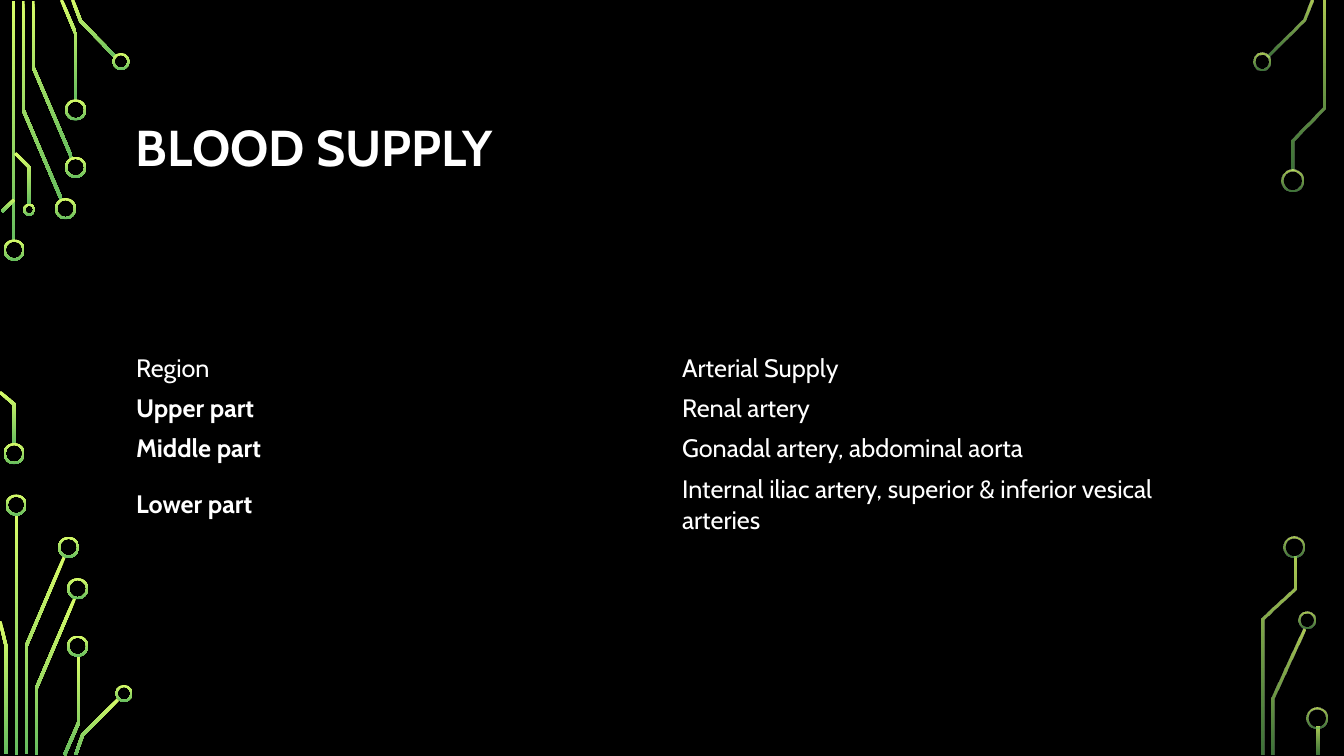
"""Build the blood supply slide with its circuit-style border."""
import math

import pptx
import pptx.dml.color
import pptx.enum.shapes
import pptx.enum.text
import pptx.oxml
import pptx.oxml.ns
import pptx.util

Inches = pptx.util.Inches
RGBColor = pptx.dml.color.RGBColor
Shape = pptx.enum.shapes.MSO_SHAPE
Anchor = pptx.enum.text.MSO_ANCHOR

BLACK = RGBColor(0x00, 0x00, 0x00)
WHITE = RGBColor(0xFF, 0xFF, 0xFF)
LIME = RGBColor(0xD8, 0xFC, 0x68)
GREEN = RGBColor(0x66, 0xBD, 0x5F)
FONT = "Cabin"
WIDTH = 0.03
RIM = 0.02
SOLID = (100, 100)
FADED = (80, 60)

LEFT = {
    "stems": [(0.12, 0.01, 2.39), (0.15, 5.1, 2.39)],
    "rings": [
        (0.14, 2.48, 0.21), (0.14, 4.5, 0.21), (0.65, 2.07, 0.21),
        (0.75, 1.66, 0.21), (0.75, 1.09, 0.21), (1.2, 0.61, 0.17),
        (0.29, 2.08, 0.12), (0.16, 5.01, 0.21), (0.68, 5.43, 0.21),
        (0.77, 5.84, 0.21), (0.77, 6.41, 0.21), (1.23, 6.88, 0.17),
    ],
    "traces": [
        [(0.61, 1.98), (0.23, 1.09), (0.23, 0.01)],
        [(0.71, 1.56), (0.33, 0.67), (0.33, 0.01)],
        [(0.75, 1), (0.75, 0.33), (0.61, 0)],
        [(1.15, 0.57), (0.8, 0.21), (0.72, 0)],
        [(0.02, 2.1), (0.14, 1.98)],
        [(0.14, 4.41), (0.14, 4.01), (0, 3.89)],
        [(0.29, 2.03), (0.29, 1.66), (0.15, 1.52)],
        [(0.26, 7.48), (0.26, 6.41), (0.64, 5.52)],
        [(0.06, 7.48), (0.06, 6.41), (0, 6.16)],
        [(0.36, 7.49), (0.36, 6.83), (0.74, 5.94)],
        [(0.64, 7.49), (0.78, 7.17), (0.78, 6.5)],
        [(0.75, 7.49), (0.82, 7.29), (1.18, 6.93)],
    ],
}
RIGHT = {
    "stems": [(13.06, 7.21, 0.28)],
    "rings": [
        (12.52, 0.61, 0.17), (12.82, 1.79, 0.21), (12.96, 6.15, 0.17),
        (12.83, 5.43, 0.21), (13.06, 7.12, 0.21),
    ],
    "traces": [
        [(12.57, 0.56), (12.93, 0.2), (13.01, 0)],
        [(12.63, 7.49), (12.63, 6.93), (12.93, 6.24)],
        [(12.82, 1.69), (12.82, 1.39), (13.13, 1.07), (13.13, 0.01)],
        [(12.53, 7.49), (12.53, 6.14), (12.84, 5.84), (12.84, 5.52)],
    ],
}
ROWS = [
    ("Region", "Arterial Supply"),
    ("Upper part", "Renal artery"),
    ("Middle part", "Gonadal artery, abdominal aorta"),
    ("Lower part", "Internal iliac artery, superior & inferior vesical arteries"),
]
HEIGHTS = [0.4, 0.4, 0.4, 0.7]


def paint(shape, alphas):
    """Give a shape the vertical lime to green blend."""
    shape.shadow.inherit = False
    shape.line.fill.background()
    shape.fill.gradient()
    shape.fill.gradient_angle = 270
    for stop, color, place in zip(shape.fill.gradient_stops, (LIME, GREEN), (0, 1)):
        stop.color.rgb = color
        stop.position = place
    tag = pptx.oxml.ns.qn("a:srgbClr")
    for node, alpha in zip(shape._element.spPr.iter(tag), alphas):
        if alpha < 100:
            item = pptx.oxml.parse_xml(
                f'<a:alpha {pptx.oxml.ns.nsdecls("a")} val="{alpha * 1000}"/>')
            node.append(item)


def add_stem(slide, left, top, height, alphas):
    """Draw a straight upright trace."""
    stem = slide.shapes.add_shape(
        Shape.RECTANGLE, Inches(left), Inches(top), Inches(WIDTH), Inches(height))
    paint(stem, alphas)


def add_ring(slide, x, y, size, alphas):
    """Draw a ring around a centre point."""
    ring = slide.shapes.add_shape(
        Shape.DONUT, Inches(x - size / 2), Inches(y - size / 2),
        Inches(size), Inches(size))
    ring.adjustments[0] = RIM / size
    paint(ring, alphas)


def get_side(points, shift):
    """Return one edge of a band that follows the points."""
    turns = [math.atan2(y2 - y1, x2 - x1)
             for (x1, y1), (x2, y2) in zip(points, points[1:])]
    edge = []
    for (x, y), before, after in zip(points, turns[:1] + turns, turns + turns[-1:]):
        bend = math.remainder(after - before, math.tau) / 2
        angle = before + bend
        reach = shift / math.cos(bend)
        edge.append((x - reach * math.sin(angle), y + reach * math.cos(angle)))
    return edge


def add_trace(slide, points, alphas):
    """Draw a bent trace along its centre line."""
    edge = get_side(points, WIDTH / 2) + get_side(points, -WIDTH / 2)[::-1]
    spots = [(Inches(x), Inches(y)) for x, y in edge]
    pen = slide.shapes.build_freeform(*spots[0])
    pen.add_line_segments(spots[1:], close=True)
    paint(pen.convert_to_shape(), alphas)


def add_side(slide, parts, alphas):
    """Draw all the circuit parts of one side."""
    for stem in parts["stems"]:
        add_stem(slide, *stem, alphas)
    for points in parts["traces"]:
        add_trace(slide, points, alphas)
    for ring in parts["rings"]:
        add_ring(slide, *ring, alphas)


def add_run(frame, text, size, bold):
    """Add a white run to the first paragraph."""
    run = frame.paragraphs[0].add_run()
    run.text = text
    run.font.name = FONT
    run.font.size = pptx.util.Pt(size)
    run.font.bold = bold
    run.font.color.rgb = WHITE


def add_title(slide, text):
    """Add the slide heading."""
    box = slide.shapes.add_textbox(
        Inches(1.25), Inches(0.68), Inches(10.83), Inches(1.62))
    frame = box.text_frame
    frame.word_wrap = True
    frame.vertical_anchor = Anchor.MIDDLE
    frame.paragraphs[0].line_spacing = 0.9
    add_run(frame, text, 36, True)


def clear_cell(cell):
    """Remove the fill and borders of a cell."""
    props = cell._tc.get_or_add_tcPr()
    for side in "LRTB":
        props.append(pptx.oxml.parse_xml(
            f'<a:ln{side} {pptx.oxml.ns.nsdecls("a")}><a:noFill/></a:ln{side}>'))
    cell.fill.background()


def add_grid(slide):
    """Add the table of regions and arteries."""
    table = slide.shapes.add_table(
        len(ROWS), 2, Inches(1.25), Inches(3.45),
        Inches(10.83), Inches(sum(HEIGHTS))).table
    table.first_row = False
    table.horz_banding = False
    for r, (texts, height) in enumerate(zip(ROWS, HEIGHTS)):
        table.rows[r].height = Inches(height)
        for c, text in enumerate(texts):
            cell = table.cell(r, c)
            clear_cell(cell)
            cell.vertical_anchor = Anchor.MIDDLE
            add_run(cell.text_frame, text, 18, r > 0 and c == 0)


def main():
    """Build and save the slide."""
    deck = pptx.Presentation()
    deck.slide_width = Inches(13.33)
    deck.slide_height = Inches(7.5)
    slide = deck.slides.add_slide(deck.slide_layouts[6])
    slide.background.fill.solid()
    slide.background.fill.fore_color.rgb = BLACK
    add_side(slide, LEFT, SOLID)
    add_side(slide, RIGHT, FADED)
    add_title(slide, "BLOOD SUPPLY")
    add_grid(slide)
    deck.save("out.pptx")


if __name__ == "__main__":
    main()
